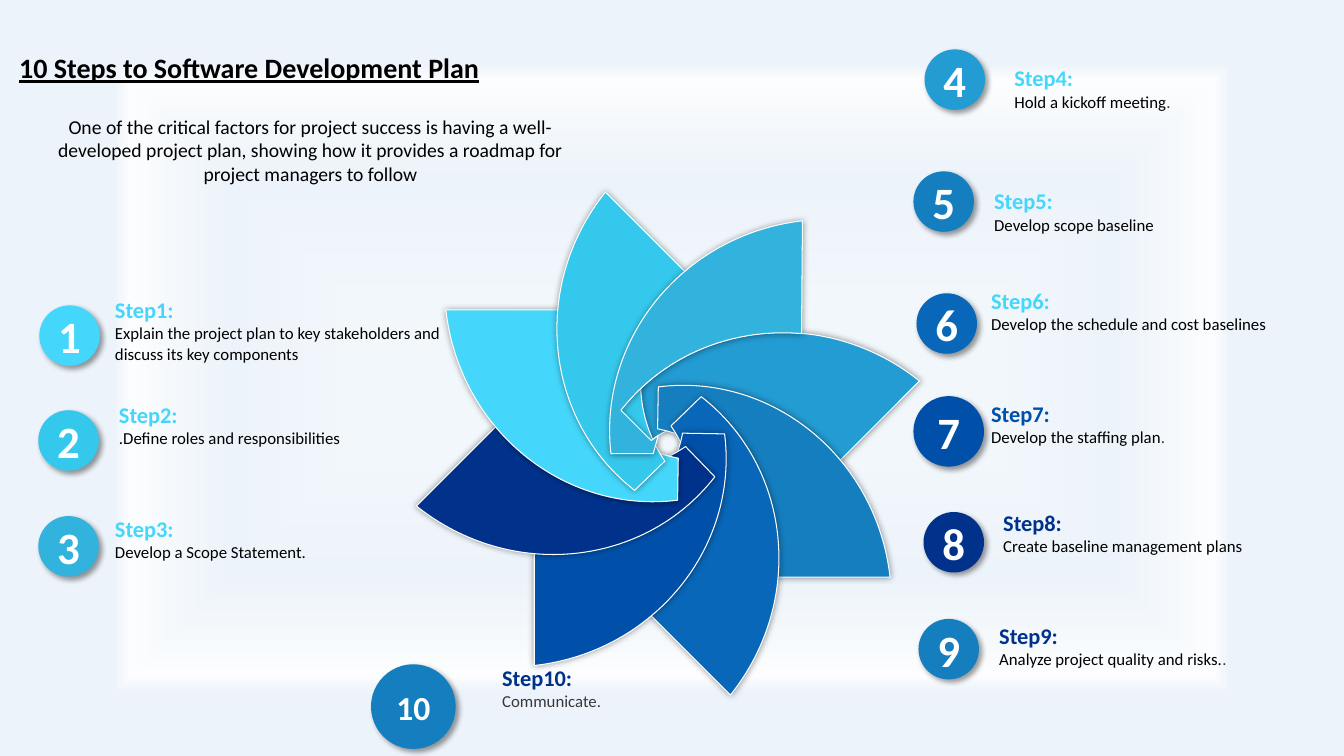
import math

from lxml import etree
from pptx import Presentation, util as u
from pptx.dml import color
from pptx.enum import shapes, text
from pptx.oxml import parse_xml
from pptx.oxml.ns import qn

WIDTH, HEIGHT = 13.33, 7.5
FONT = "Calibri"
BLACK, GREY, WHITE = "000000", "3B3838", "FFFFFF"
CYAN, NAVY = "44D7FB", "00328C"
A_NS = 'xmlns:a="http://schemas.openxmlformats.org/drawingml/2006/main"'
P_NS = 'xmlns:p="http://schemas.openxmlformats.org/presentationml/2006/main"'

# Pinwheel: one blade turned in steps of 45 degrees; curves have three points
HUB = (6.625, 4.4)
TILT = 44.9
UNITS = 10000  # outline units per inch
BLADE = [
    [(8.23, 4.67)],
    [(7.87, 4.1), (7.07, 3.95), (6.45, 4.37)],
    [(6.16, 4.07)],
    [(6.85, 3.18), (8.18, 3.03), (9.12, 3.78)],
]
# The last blade is notched so that it tucks under the first
NOTCHED_BLADE = [
    [(6.16, 4.07)],
    [(6.59, 3.52), (7.27, 3.25), (7.95, 3.31)],
    [(7.96, 2.19)],
    [(6.76, 2.33), (5.93, 3.38), (6.06, 4.5)],
    [(6.48, 4.5)], [(6.53, 4.32)], [(6.46, 4.37)],
]
BLADE_COLORS = ["239BD3", "157EBF", "0967B9", "0050AA", NAVY, CYAN, "35C8ED"]
NOTCHED_COLOR = "31B3DE"

# Number, badge (left, top, size, colour), label (left, top, height, colour), text runs
STEPS = [
    (1, (0.39, 3.03, 0.6, CYAN), (1.07, 2.91, 0.74, CYAN),
     [("Explain the project plan to key stakeholders and discuss its key components", BLACK)]),
    (2, (0.38, 4.07, 0.6, "35C8ED"), (1.11, 3.95, 0.54, CYAN),
     [(".Define roles and responsibilities", BLACK)]),
    (3, (0.38, 5.12, 0.6, "31B3DE"), (1.07, 5.08, 0.54, CYAN),
     [("Develop a Scope Statement.", BLACK)]),
    (4, (9.17, 0.49, 0.6, "239BD3"), (9.99, 0.61, 0.54, CYAN),
     [("Hold a kickoff meeting", BLACK), (".", GREY)]),
    (5, (9.06, 1.7, 0.6, "157EBF"), (9.79, 1.83, 0.54, CYAN),
     [("Develop scope baseline", BLACK)]),
    (6, (9.09, 2.91, 0.6, "0967B9"), (9.76, 2.82, 0.54, CYAN),
     [("Develop the schedule and cost baselines", BLACK)]),
    (7, (9.06, 3.93, 0.7, "0050AA"), (9.76, 3.94, 0.54, "0050AA"),
     [("Develop the staffing plan", BLACK), (".", GREY)]),
    (8, (9.16, 5.08, 0.6, NAVY), (9.88, 5.02, 0.54, NAVY),
     [("Create baseline management plans", BLACK)]),
    (9, (9.11, 6.14, 0.6, "157EBF"), (9.84, 6.14, 0.54, NAVY),
     [("Analyze project quality and risks.", BLACK), (".", GREY)]),
    (10, (3.68, 6.59, 0.84, "157EBF"), (4.91, 6.56, 0.54, NAVY),
     [("Communicate.", GREY)]),
]
LABEL_WIDTH = 3.45


def rgb(value):
    return color.RGBColor.from_string(value)


def inches(*values):
    return [u.Inches(value) for value in values]


def add_run(paragraph, words, size, ink, bold=False, underline=False):
    run = paragraph.add_run()
    run.text = words
    font = run.font
    font.name, font.size, font.bold = FONT, u.Pt(size), bold
    font.color.rgb = rgb(ink)
    if underline:
        font.underline = True


def add_shadow(shape, blur, distance, angle):
    shape._element.spPr.append(parse_xml(
        f'<a:effectLst {A_NS}><a:outerShdw blurRad="{u.Pt(blur)}" dist="{u.Pt(distance)}" '
        f'dir="{angle * 60000}" algn="ctr" rotWithShape="0"><a:srgbClr val="{BLACK}">'
        '<a:alpha val="40000"/></a:srgbClr></a:outerShdw></a:effectLst>'))


def add_background(slide):
    # Rectangular gradient under a translucent white sheet
    stops = [(19, "CEE1F2"), (53, "B5D2EC"), (79, "F7FAFD"), (83, "B5D2EC")]
    stop_xml = "".join(f'<a:gs pos="{share * 1000}"><a:srgbClr val="{ink}"/></a:gs>'
                       for share, ink in stops)
    slide._element.cSld.insert(0, parse_xml(
        f'<p:bg {A_NS} {P_NS}><p:bgPr><a:gradFill rotWithShape="1"><a:gsLst>{stop_xml}</a:gsLst>'
        '<a:path path="shape"><a:fillToRect l="50000" t="50000" r="50000" b="50000"/></a:path>'
        '</a:gradFill><a:effectLst/></p:bgPr></p:bg>'))
    sheet = slide.shapes.add_shape(shapes.MSO_SHAPE.RECTANGLE, *inches(0, 0, WIDTH, HEIGHT))
    sheet.shadow.inherit = False
    sheet.fill.solid()
    sheet.fill.fore_color.rgb = rgb(WHITE)
    sheet.line.fill.background()
    tint = sheet._element.spPr.find(qn("a:solidFill"))[0]
    etree.SubElement(tint, qn("a:alpha")).set("val", "75000")
    slide.shapes._spTree.insert(2, sheet._element)  # behind the title


def add_heading(slide, left, top, width):
    title = slide.shapes.title
    title.left, title.top, title.width, title.height = inches(left, top, width, 0.44)
    frame = title.text_frame
    frame.vertical_anchor = text.MSO_ANCHOR.TOP
    frame.auto_size = text.MSO_AUTO_SIZE.NONE
    frame.paragraphs[0].alignment = text.PP_ALIGN.LEFT
    add_run(frame.paragraphs[0], "10 Steps to Software Development Plan", 20, BLACK, True, True)

    intro = slide.shapes.add_textbox(*inches(left + 0.3, top + 0.64, 5.38, 1.11))
    intro.text_frame.word_wrap = True
    paragraph = intro.text_frame.paragraphs[0]
    paragraph.alignment = text.PP_ALIGN.CENTER
    add_run(paragraph, "One of the critical factors for project success is having a "
            "well-developed project plan, showing how it provides a roadmap for "
            "project managers to follow", 14, BLACK)


def turn(point, degrees):
    cos, sin = math.cos(math.radians(degrees)), math.sin(math.radians(degrees))
    x, y = point[0] - HUB[0], point[1] - HUB[1]
    return HUB[0] + x * cos - y * sin, HUB[1] + x * sin + y * cos


def extent(segments, samples=40):
    """Left, top, width and height of an outline, measured along its curves."""
    points = []
    for segment in segments:
        if len(segment) == 1:
            points += segment
            continue
        controls = [points[-1], *segment]
        for i in range(1, samples + 1):
            t = i / samples
            weights = [math.comb(3, k) * (1 - t) ** (3 - k) * t ** k for k in range(4)]
            points.append([sum(w * c[axis] for w, c in zip(weights, controls))
                           for axis in (0, 1)])
    xs, ys = zip(*points)
    return min(xs), min(ys), max(xs) - min(xs), max(ys) - min(ys)


def add_blade(slide, segments, degrees, ink):
    # The outline is drawn upright, then the shape is tilted back
    upright = [[turn(point, degrees + TILT) for point in segment] for segment in segments]
    points = [point for segment in upright for point in segment]
    builder = slide.shapes.build_freeform(
        *[value * UNITS for value in points[0]], scale=u.Inches(1) / UNITS)
    builder.add_line_segments([(x * UNITS, y * UNITS) for x, y in points[1:]], close=True)
    blade = builder.convert_to_shape()

    # Fit the frame to the curves rather than to their control points
    left, top, width, height = extent(upright)
    shift_x = round((left - min(x for x, y in points)) * UNITS)
    shift_y = round((top - min(y for x, y in points)) * UNITS)
    outline = next(blade._element.iter(qn("a:path")))
    outline.set("w", str(round(width * UNITS)))
    outline.set("h", str(round(height * UNITS)))
    for point in outline.iter(qn("a:pt")):
        point.set("x", str(int(point.get("x")) - shift_x))
        point.set("y", str(int(point.get("y")) - shift_y))

    # Join each group of three points into one cubic curve
    steps = iter(list(outline)[:-1])
    for segment in segments:
        first, *others = [next(steps) for _ in segment]
        if others:
            first.tag = qn("a:cubicBezTo")
            for other in others:
                first.append(other[0])
                outline.remove(other)

    center_x, center_y = turn((left + width / 2, top + height / 2), -TILT)
    blade.left, blade.top, blade.width, blade.height = inches(
        center_x - width / 2, center_y - height / 2, width, height)
    blade.rotation = 360 - TILT
    blade.fill.solid()
    blade.fill.fore_color.rgb = rgb(ink)
    blade.line.color.rgb = rgb(WHITE)
    blade.line.width = u.Pt(0.75)
    add_shadow(blade, 5, 0, 0)


def add_pinwheel(slide):
    for index, ink in enumerate(BLADE_COLORS):
        add_blade(slide, BLADE, 45 * index, ink)
    add_blade(slide, NOTCHED_BLADE, 0, NOTCHED_COLOR)


def add_badge(slide, number, left, top, size, ink):
    badge = slide.shapes.add_shape(shapes.MSO_SHAPE.OVAL, *inches(left, top, size, size))
    badge.fill.solid()
    badge.fill.fore_color.rgb = rgb(ink)
    badge.line.fill.background()
    add_shadow(badge, 4, 3, 45)
    badge.text_frame.vertical_anchor = text.MSO_ANCHOR.MIDDLE
    paragraph = badge.text_frame.paragraphs[0]
    paragraph.alignment = text.PP_ALIGN.CENTER
    add_run(paragraph, str(number), 32 if number < 10 else 24, WHITE, True)


def add_label(slide, number, runs, left, top, height, ink):
    label = slide.shapes.add_textbox(*inches(left, top, LABEL_WIDTH, height))
    frame = label.text_frame
    frame.word_wrap = True
    frame.auto_size = text.MSO_AUTO_SIZE.SHAPE_TO_FIT_TEXT
    frame.margin_left = frame.margin_right = u.Inches(0.07)
    frame.margin_top = frame.margin_bottom = u.Inches(0.03)
    add_run(frame.paragraphs[0], f"Step{number}:", 16, ink, True)
    detail = frame.add_paragraph()
    for words, run_ink in runs:
        add_run(detail, words, 12, run_ink)


def main():
    presentation = Presentation()
    presentation.slide_width, presentation.slide_height = inches(WIDTH, HEIGHT)
    slide = presentation.slides.add_slide(presentation.slide_layouts[5])
    add_background(slide)
    add_heading(slide, 0.09, 0.45, 6.02)
    add_pinwheel(slide)
    for number, badge, label, runs in STEPS:
        add_badge(slide, number, *badge)
        add_label(slide, number, runs, *label)
    presentation.save("out.pptx")


if __name__ == "__main__":
    main()
